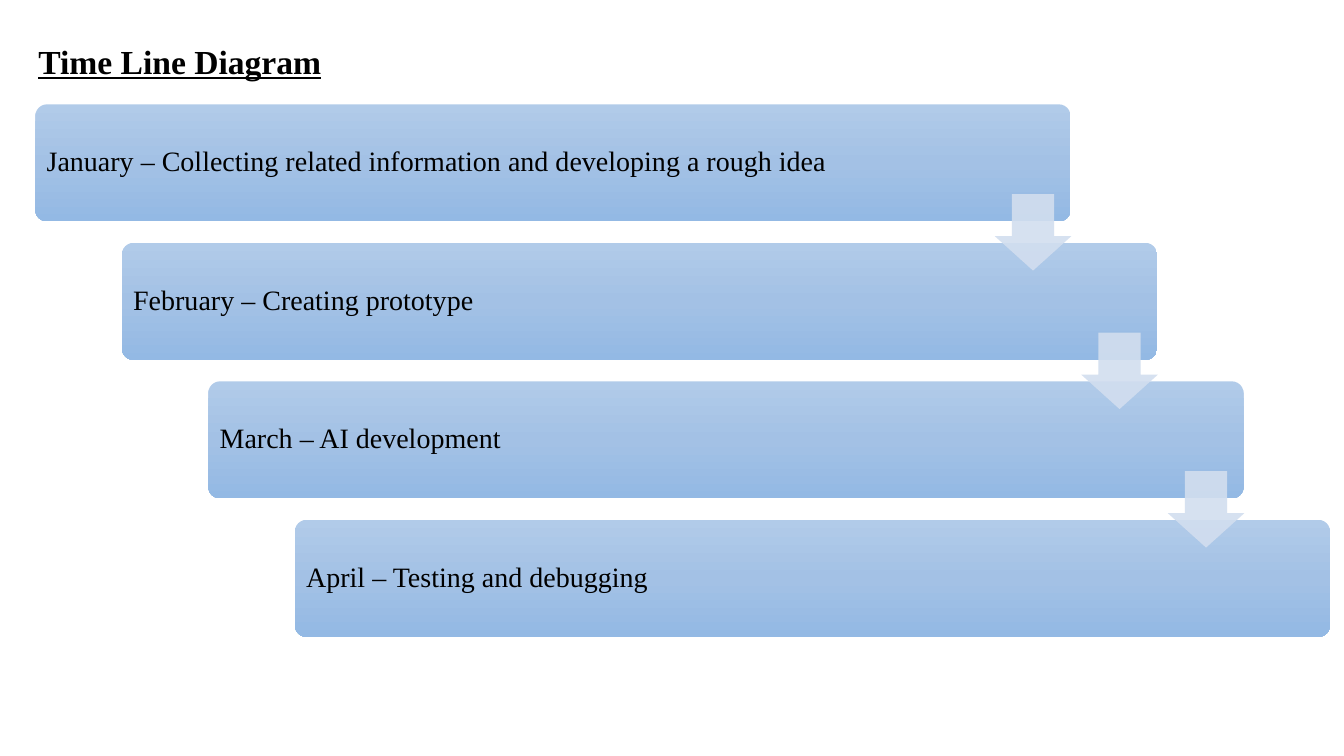
import copy
import pptx
import pptx.dml.color
import pptx.enum.shapes
import pptx.enum.text
import pptx.oxml
import pptx.oxml.ns
import pptx.util
from pptx.util import Cm

BLACK = pptx.dml.color.RGBColor(0x00, 0x00, 0x00)
BAR_TOP = pptx.dml.color.RGBColor(0xB1, 0xCB, 0xE9)
BAR_MIDDLE = pptx.dml.color.RGBColor(0xA3, 0xC1, 0xE5)
BAR_BOTTOM = pptx.dml.color.RGBColor(0x93, 0xB9, 0xE4)
ARROW_BLUE = pptx.dml.color.RGBColor(0xD2, 0xDE, 0xEF)
SHAPES = pptx.enum.shapes.MSO_SHAPE
LEFT = pptx.enum.text.PP_ALIGN.LEFT
ANCHOR = pptx.enum.text.MSO_ANCHOR

STAGES = [
    "January – Collecting related information and developing a rough idea",
    "February – Creating prototype",
    "March – AI development",
    "April – Testing and debugging",
]
STEP_X, STEP_Y = 2.18, 3.49


def write_line(frame, text, size):
    """Write one left-aligned line and return its run."""
    paragraph = frame.paragraphs[0]
    paragraph.alignment = LEFT
    paragraph.line_spacing = 0.9
    run = paragraph.add_run()
    run.text = text
    run.font.name = "Times New Roman"
    run.font.size = pptx.util.Pt(size)
    run.font.color.rgb = BLACK
    return run


presentation = pptx.Presentation()
presentation.slide_width = Cm(33.87)
presentation.slide_height = Cm(19.05)
slide = presentation.slides.add_slide(presentation.slide_layouts[5])

# Title
title = slide.shapes.title
title.left, title.top, title.width, title.height = Cm(0.71), Cm(1.02), Cm(30.84), Cm(1.85)
title.text_frame.vertical_anchor = ANCHOR.TOP
heading = write_line(title.text_frame, "Time Line Diagram", 24)
heading.font.bold = True
heading.font.underline = True

# Staggered month bars
for row, stage in enumerate(STAGES):
    bar = slide.shapes.add_shape(
        SHAPES.ROUNDED_RECTANGLE,
        Cm(0.89 + row * STEP_X), Cm(2.63 + row * STEP_Y), Cm(26.09), Cm(2.95))
    bar.adjustments[0] = 0.1
    bar.shadow.inherit = False
    bar.line.fill.background()

    # Vertical gradient with a middle stop
    bar.fill.gradient()
    bar.fill.gradient_angle = 270
    stops = bar._element.spPr.find(".//" + pptx.oxml.ns.qn("a:gsLst"))
    middle = copy.deepcopy(stops[0])
    middle.set("pos", "50000")
    stops.insert(1, middle)
    for stop, color in zip(bar.fill.gradient_stops, (BAR_TOP, BAR_MIDDLE, BAR_BOTTOM)):
        stop.color.rgb = color

    label = bar.text_frame
    label.word_wrap = True
    label.vertical_anchor = ANCHOR.MIDDLE
    label.margin_left = Cm(0.2)
    label.margin_right = Cm(3)
    write_line(label, stage, 20)

# Arrows leading from each month to the next
for row in range(len(STAGES) - 1):
    arrow = slide.shapes.add_shape(
        SHAPES.DOWN_ARROW,
        Cm(25.07 + row * STEP_X), Cm(4.89 + row * STEP_Y), Cm(1.93), Cm(1.93))
    arrow.adjustments[0] = 0.55
    arrow.adjustments[1] = 0.45
    arrow.shadow.inherit = False
    arrow.line.fill.background()
    arrow.fill.solid()
    arrow.fill.fore_color.rgb = ARROW_BLUE
    tint = arrow._element.spPr.find(".//" + pptx.oxml.ns.qn("a:srgbClr"))
    alpha = pptx.oxml.parse_xml(
        f'<a:alpha {pptx.oxml.ns.nsdecls("a")} val="90000"/>')
    tint.append(alpha)

presentation.save("out.pptx")
